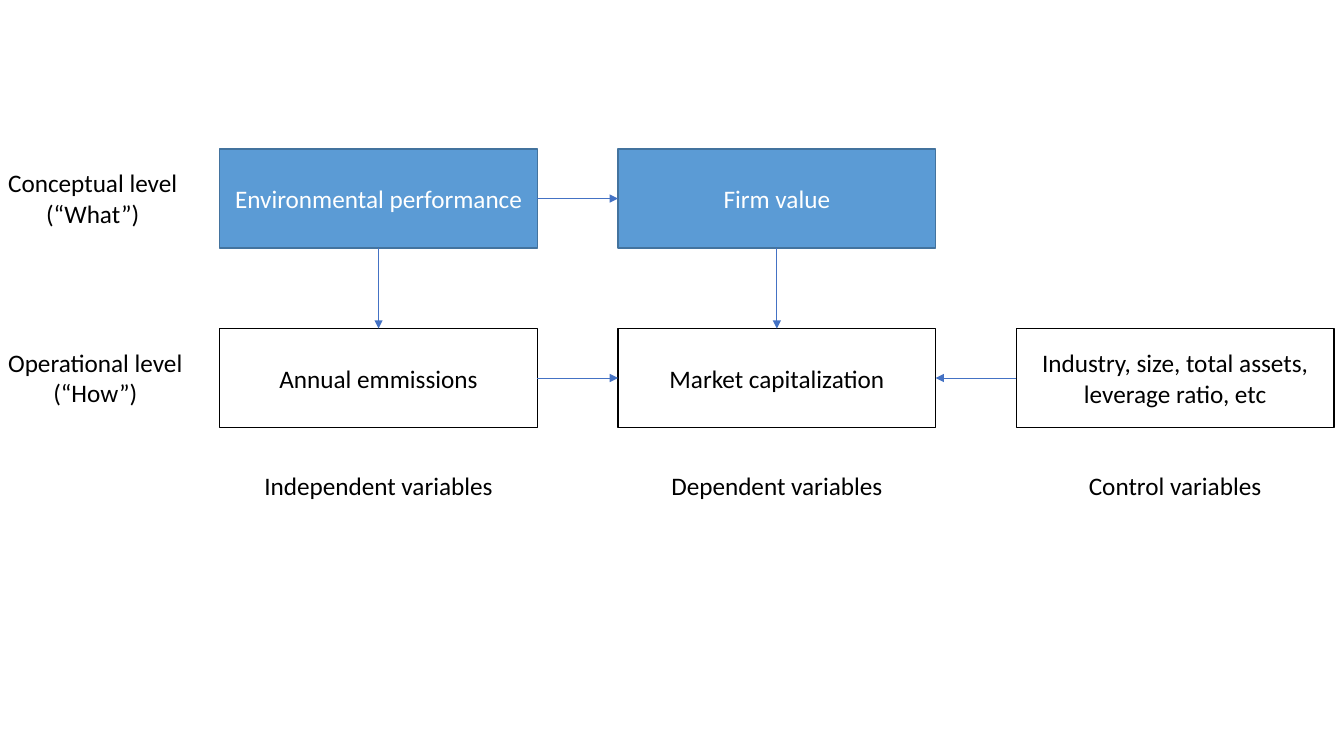
from lxml.etree import SubElement
from pptx import Presentation
from pptx.dml.color import RGBColor
from pptx.enum.shapes import MSO_CONNECTOR, MSO_SHAPE
from pptx.enum.text import MSO_ANCHOR, MSO_AUTO_SIZE, PP_ALIGN
from pptx.oxml.ns import qn
from pptx.util import Inches, Pt

COLORS = {
    "concept": "5B9BD5",
    "concept_edge": "43739E",
    "arrow": "4472C4",
    "white": "FFFFFF",
    "black": "000000",
}
LEFT, TOP = 2.18, 1.48
BOX_WIDTH, BOX_HEIGHT = 3.15, 0.98
COLUMN_STEP, ROW_STEP = 3.95, 1.78
LABEL_LEFT, LABEL_HEIGHT = -0.03, 0.71
CAPTION_TOP, CAPTION_HEIGHT = 4.62, 0.4
TOP_SIDE, LEFT_SIDE, BOTTOM_SIDE, RIGHT_SIDE = range(4)

LEVELS = [("Conceptual level\n(“What”)", 1.9), ("Operational level\n(“How”)", 1.95)]
CONCEPTS = ["Environmental performance", "Firm value"]
MEASURES = [
    "Annual emmissions",
    "Market capitalization",
    "Industry, size, total assets, leverage ratio, etc",
]
ROLES = [("Independent variables", 2.5), ("Dependent variables", 2.32), ("Control variables", 1.93)]


def color(name):
    return RGBColor.from_string(COLORS[name])


def write(frame, text, ink):
    frame.text = text
    for paragraph in frame.paragraphs:
        paragraph.alignment = PP_ALIGN.CENTER
        for run in paragraph.runs:
            run.font.name = "Calibri"
            run.font.size = Pt(18)
            run.font.color.rgb = color(ink)


def add_variable(slide, column, row, text, fill, edge, ink):
    variable = slide.shapes.add_shape(
        MSO_SHAPE.RECTANGLE,
        Inches(LEFT + column * COLUMN_STEP),
        Inches(TOP + row * ROW_STEP),
        Inches(BOX_WIDTH),
        Inches(BOX_HEIGHT),
    )
    variable.shadow.inherit = False
    variable.fill.solid()
    variable.fill.fore_color.rgb = color(fill)
    variable.line.color.rgb = color(edge)
    variable.line.width = Pt(1)
    variable.text_frame.word_wrap = True
    variable.text_frame.vertical_anchor = MSO_ANCHOR.MIDDLE
    write(variable.text_frame, text, ink)
    return variable


def add_label(slide, left, top, width, height, text):
    frame = slide.shapes.add_textbox(
        Inches(left), Inches(top), Inches(width), Inches(height)
    ).text_frame
    frame.word_wrap = False
    frame.auto_size = MSO_AUTO_SIZE.SHAPE_TO_FIT_TEXT
    write(frame, text, "black")


def add_arrow(slide, source, source_side, target, target_side):
    arrow = slide.shapes.add_connector(MSO_CONNECTOR.STRAIGHT, 0, 0, 0, 0)
    arrow.begin_connect(source, source_side)
    arrow.end_connect(target, target_side)
    arrow.line.color.rgb = color("arrow")
    arrow.line.width = Pt(0.5)
    SubElement(arrow.line._get_or_add_ln(), qn("a:tailEnd"), type="triangle")
    SubElement(arrow._element.spPr, qn("a:effectLst"))


def add_level_labels(slide):
    for row, (level, width) in enumerate(LEVELS):
        top = TOP + row * ROW_STEP + (BOX_HEIGHT - LABEL_HEIGHT) / 2
        add_label(slide, LABEL_LEFT, top, width, LABEL_HEIGHT, level)


def add_role_captions(slide):
    for column, (role, width) in enumerate(ROLES):
        left = LEFT + column * COLUMN_STEP + (BOX_WIDTH - width) / 2
        add_label(slide, left, CAPTION_TOP, width, CAPTION_HEIGHT, role)


def add_framework(slide):
    concepts = [
        add_variable(slide, column, 0, text, "concept", "concept_edge", "white")
        for column, text in enumerate(CONCEPTS)
    ]
    measures = [
        add_variable(slide, column, 1, text, "white", "black", "black")
        for column, text in enumerate(MEASURES)
    ]
    independent, dependent, control = measures
    add_arrow(slide, concepts[0], RIGHT_SIDE, concepts[1], LEFT_SIDE)
    add_arrow(slide, independent, RIGHT_SIDE, dependent, LEFT_SIDE)
    add_arrow(slide, control, LEFT_SIDE, dependent, RIGHT_SIDE)
    for concept, measure in zip(concepts, measures):
        add_arrow(slide, concept, BOTTOM_SIDE, measure, TOP_SIDE)


def main():
    deck = Presentation()
    deck.slide_width, deck.slide_height = Inches(13.33), Inches(7.5)
    slide = deck.slides.add_slide(deck.slide_layouts[6])
    add_level_labels(slide)
    add_framework(slide)
    add_role_captions(slide)
    deck.save("out.pptx")


if __name__ == "__main__":
    main()
